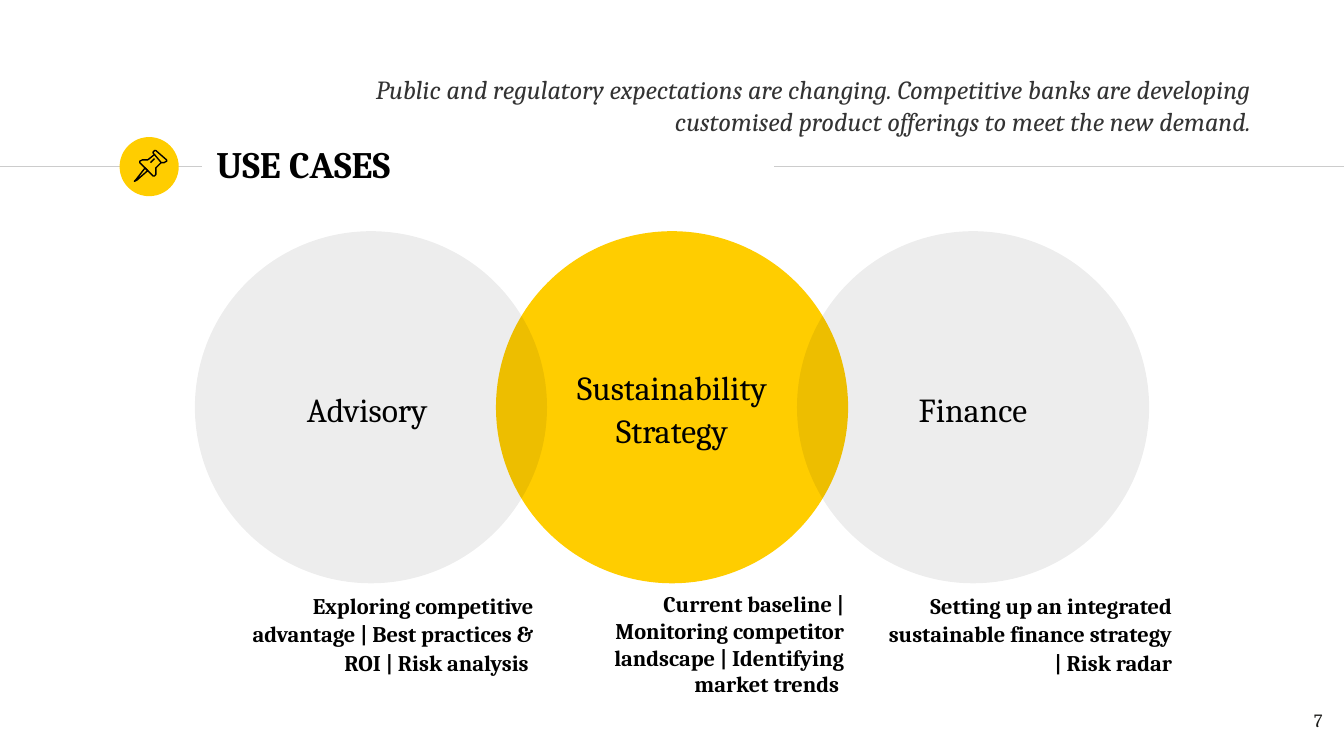
from dataclasses import dataclass
from typing import Optional

from lxml import etree
from pptx import Presentation
from pptx.dml.color import RGBColor
from pptx.enum import shapes, text
from pptx.oxml.ns import qn
from pptx.util import Inches, Pt

COLORS = {"yellow": "FFCD00", "black": "000000", "rule": "CCCCCC",
          "quote": "333333", "number": "1D1D1B"}
FONT = "Cambria"
SLIDE_WIDTH = 10
SLIDE_HEIGHT = SLIDE_WIDTH * 9 / 16
RULE_Y = 1.24
CIRCLE_SIZE = 2.62
CIRCLE_TOP = 1.72
CIRCLE_LEFT = 1.45
CIRCLE_STEP = 2.24


@dataclass
class TextStyle:
    size: float
    color: str = "black"
    bold: bool = False
    italic: bool = False
    align: text.PP_ALIGN = text.PP_ALIGN.RIGHT
    line_spacing: Optional[float] = None
    space_after: float = 0


@dataclass
class UseCase:
    column: int
    name: str
    fill: str
    alpha: Optional[int]
    caption: str
    caption_left: float
    caption_height: float
    caption_style: TextStyle


CIRCLE_STYLE = TextStyle(18, align=text.PP_ALIGN.CENTER, line_spacing=1.07, space_after=8)
TIGHT_CAPTION = TextStyle(12, bold=True)
LOOSE_CAPTION = TextStyle(12, bold=True, line_spacing=1.07, space_after=8)

# The side circles are translucent and lie over the middle one
USE_CASES = [
    UseCase(1, "Sustainability Strategy", "yellow", None,
            "Current baseline | Monitoring competitor landscape | Identifying market trends ",
            4.07, 0.91, TIGHT_CAPTION),
    UseCase(0, "Advisory ", "black", 7,
            "Exploring competitive advantage | Best practices & ROI | Risk analysis ",
            1.76, 0.95, LOOSE_CAPTION),
    UseCase(2, "Finance", "black", 7,
            "Setting up an integrated sustainable finance strategy | Risk radar",
            6.51, 0.73, LOOSE_CAPTION),
]

# Pushpin outlines in hundredths of an inch, and whether each is closed
PIN_PARTS = [
    ([(108, 125), (101, 134), (100, 135), (102, 134), (110, 127)], True),
    ([(115, 115), (120, 121), (122, 121), (124, 120), (124, 119),
      (116, 112), (115, 112), (114, 113), (114, 114)], True),
    ([(115, 115), (110, 119), (108, 119), (106, 119), (104, 120),
      (104, 121), (114, 131), (115, 131), (116, 130), (116, 128),
      (116, 125), (120, 121)], False),
    ([(112, 121), (115, 118)], False),
]


def rgb(name: str) -> RGBColor:
    return RGBColor.from_string(COLORS[name])


def write_text(shape, content: str, style: TextStyle, anchor=text.MSO_ANCHOR.TOP,
               inset_y: float = 0.1) -> None:
    frame = shape.text_frame
    frame.word_wrap = True
    frame.vertical_anchor = anchor
    frame.margin_left = frame.margin_right = Inches(0.1)
    frame.margin_top = frame.margin_bottom = Inches(inset_y)
    frame.text = content
    paragraph = frame.paragraphs[0]
    paragraph.alignment = style.align
    paragraph.space_after = Pt(style.space_after)
    if style.line_spacing:
        paragraph.line_spacing = style.line_spacing
    font = paragraph.runs[0].font
    font.name = FONT
    font.size = Pt(style.size)
    font.bold = style.bold
    font.italic = style.italic
    font.color.rgb = rgb(style.color)


def add_text(slide, left: float, top: float, width: float, height: float,
             content: str, style: TextStyle, inset_y: float = 0.05) -> None:
    box = slide.shapes.add_textbox(Inches(left), Inches(top), Inches(width), Inches(height))
    write_text(box, content, style, inset_y=inset_y)


def add_circle(slide, left: float, top: float, size: float, fill: str,
               alpha: Optional[int] = None):
    circle = slide.shapes.add_shape(shapes.MSO_SHAPE.OVAL, Inches(left), Inches(top),
                                    Inches(size), Inches(size))
    circle.shadow.inherit = False
    circle.fill.solid()
    circle.fill.fore_color.rgb = rgb(fill)
    circle.line.fill.background()
    if alpha is not None:
        color = next(circle._element.spPr.iter(qn("a:srgbClr")))
        etree.SubElement(color, qn("a:alpha")).set("val", str(alpha * 1000))
    return circle


def add_rule(slide, start: float, end: float) -> None:
    rule = slide.shapes.add_connector(shapes.MSO_CONNECTOR.STRAIGHT, Inches(start),
                                      Inches(RULE_Y), Inches(end), Inches(RULE_Y))
    rule.line.color.rgb = rgb("rule")
    rule.line.width = Pt(0.75)
    etree.SubElement(rule._element.spPr, qn("a:effectLst"))


def add_pin_part(group, points: list[tuple[int, int]], closed: bool) -> None:
    builder = group.shapes.build_freeform(*points[0], scale=Inches(0.01))
    builder.add_line_segments(points[1:], close=closed)
    outline = builder.convert_to_shape()
    outline.shadow.inherit = False
    outline.fill.background()
    outline.line.color.rgb = rgb("black")
    outline.line.width = Pt(0.75)


def main() -> None:
    presentation = Presentation()
    presentation.slide_width = Inches(SLIDE_WIDTH)
    presentation.slide_height = Inches(SLIDE_HEIGHT)
    slide = presentation.slides.add_slide(presentation.slide_layouts[5])

    # Header rules, badge and title
    add_rule(slide, 0, 1.5)
    add_circle(slide, 0.89, 1.02, 0.44, "yellow")
    add_rule(slide, 5.76, SLIDE_WIDTH)
    title = slide.shapes.title
    title.left, title.top = Inches(1.51), Inches(0.98)
    title.width, title.height = Inches(4.24), Inches(0.48)
    write_text(title, "USE CASES", TextStyle(20, bold=True, align=text.PP_ALIGN.LEFT),
               anchor=text.MSO_ANCHOR.MIDDLE)

    # Pushpin icon
    pin = slide.shapes.add_group_shape()
    for points, closed in PIN_PARTS:
        add_pin_part(pin, points, closed)

    # Overlapping circles with captions below
    for case in USE_CASES:
        circle = add_circle(slide, CIRCLE_LEFT + case.column * CIRCLE_STEP, CIRCLE_TOP,
                            CIRCLE_SIZE, case.fill, case.alpha)
        write_text(circle, case.name, CIRCLE_STYLE, anchor=text.MSO_ANCHOR.MIDDLE)
        add_text(slide, case.caption_left, CIRCLE_TOP + CIRCLE_SIZE, 2.31,
                 case.caption_height, case.caption, case.caption_style)

    # Statement and page number
    add_text(slide, 2.4, 0.5, 7.01, 0.57,
             "Public and regulatory expectations are changing. Competitive banks are "
             "developing customised product offerings to meet the new demand.",
             TextStyle(14, color="quote", italic=True))
    add_text(slide, 9.34, 5.19, 0.6, 0.43, "7", TextStyle(10, color="number"), inset_y=0.1)

    presentation.save("out.pptx")


if __name__ == "__main__":
    main()
